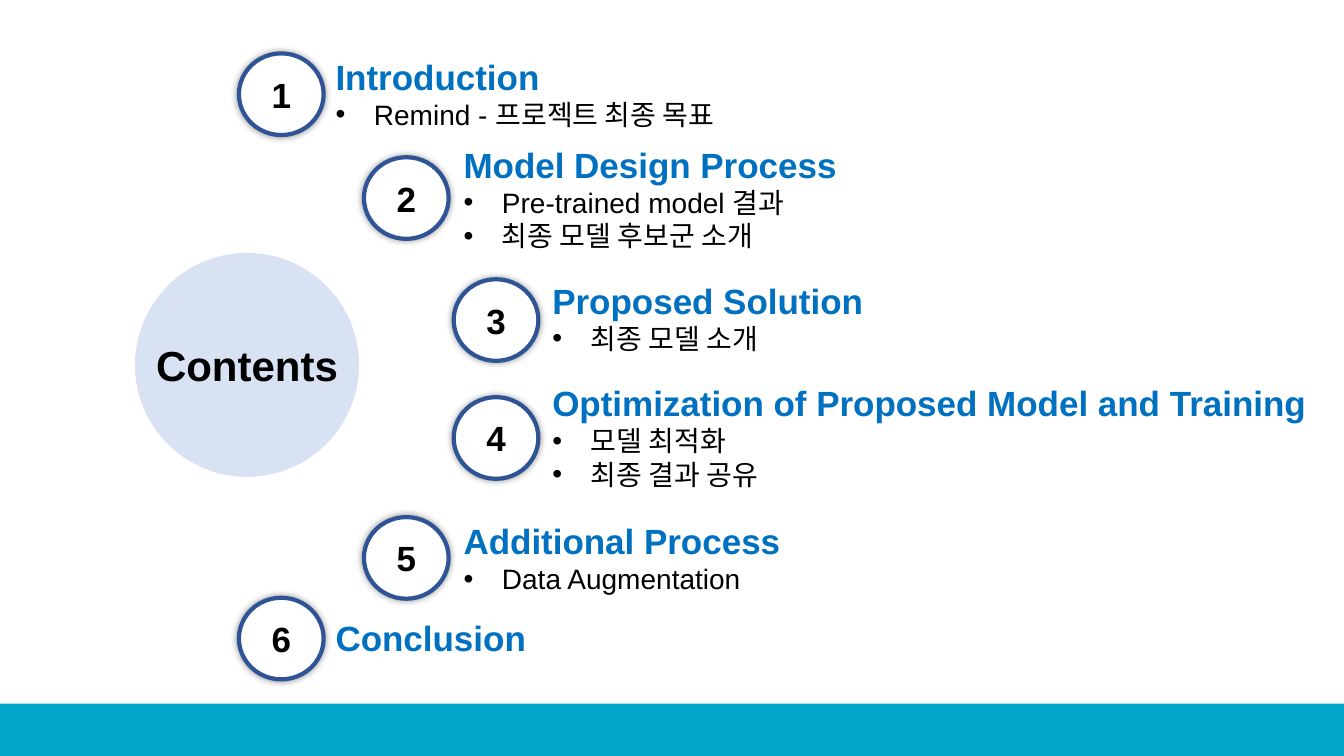
from lxml import etree
from pptx import Presentation
from pptx.dml.color import RGBColor
from pptx.enum.shapes import MSO_SHAPE
from pptx.enum.text import MSO_ANCHOR, PP_ALIGN
from pptx.oxml import parse_xml
from pptx.oxml.ns import nsdecls, qn
from pptx.util import Inches, Pt

BLACK = RGBColor(0x00, 0x00, 0x00)
WHITE = RGBColor(0xFF, 0xFF, 0xFF)
HEADING_BLUE = RGBColor(0x00, 0x70, 0xC0)
RING_BLUE = RGBColor(0x2F, 0x54, 0x96)
PALE_BLUE = RGBColor(0xD8, 0xE2, 0xF3)
BAND_TEAL = RGBColor(0x01, 0xA7, 0xCB)

BADGE_WIDTH, BADGE_HEIGHT = 0.84, 0.81
BULLET_INDENT = Inches(0.38)
GLOW = (
    f'<a:effectLst {nsdecls("a")}><a:outerShdw blurRad="{Pt(5)}" dist="0" dir="0" '
    'algn="ctr" rotWithShape="0"><a:srgbClr val="000000"><a:alpha val="40000"/>'
    '</a:srgbClr></a:outerShdw></a:effectLst>'
)

# badge left, badge top, text left, text top, text width, text height, heading, points
SECTIONS = [
    (2.37, 0.53, 3.23, 0.50, 8.54, 0.86, "Introduction",
     ["Remind - 프로젝트 최종 목표"]),
    (3.61, 1.56, 4.50, 1.37, 6.86, 1.20, "Model Design Process",
     ["Pre-trained model 결과", "최종 모델 후보군 소개"]),
    (4.50, 2.77, 5.38, 2.72, 5.96, 0.86, "Proposed Solution",
     ["최종 모델 소개"]),
    (4.50, 3.94, 5.38, 3.74, 7.86, 1.20, "Optimization of Proposed Model and Training",
     ["모델 최적화", "최종 결과 공유"]),
    (3.61, 5.13, 4.50, 5.11, 6.86, 0.86, "Additional Process",
     ["Data Augmentation"]),
    (2.37, 5.93, 3.23, 6.07, 6.86, 0.52, "Conclusion", []),
]


def add_filled(preset, left, top, width, height, fill):
    shape = slide.shapes.add_shape(
        preset, Inches(left), Inches(top), Inches(width), Inches(height))
    shape.shadow.inherit = False
    shape.fill.solid()
    shape.fill.fore_color.rgb = fill
    shape.line.fill.background()
    return shape


def style_paragraph(paragraph, size, color, bold=True, align=PP_ALIGN.LEFT):
    paragraph.alignment = align
    for run in paragraph.runs:
        run.font.name = "Arial"
        run.font.size = Pt(size)
        run.font.bold = bold
        run.font.color.rgb = color


prs = Presentation()
prs.slide_width, prs.slide_height = Inches(13.33), Inches(7.5)
slide = prs.slides.add_slide(prs.slide_layouts[5])

add_filled(MSO_SHAPE.RECTANGLE, 0, 6.98, 13.33, 0.52, BAND_TEAL)
contents_disc = add_filled(MSO_SHAPE.OVAL, 1.36, 2.53, 2.18, 2.18, PALE_BLUE)
contents_disc.line.color.rgb = PALE_BLUE
contents_disc.line.width = Pt(3)

contents = slide.shapes.title
contents.left, contents.top = Inches(1.19), Inches(3.32)
contents.width, contents.height = Inches(2.52), Inches(0.61)
contents.text_frame.text = "Contents"
contents.text_frame.vertical_anchor = MSO_ANCHOR.TOP
style_paragraph(contents.text_frame.paragraphs[0], 30, BLACK, align=PP_ALIGN.CENTER)
# The title placeholder starts at the back, so bring it in front of the disc.
contents_disc._element.addnext(contents._element)

for number, section in enumerate(SECTIONS, start=1):
    badge_left, badge_top, left, top, width, height, heading, points = section

    badge = add_filled(
        MSO_SHAPE.OVAL, badge_left, badge_top, BADGE_WIDTH, BADGE_HEIGHT, WHITE)
    badge.line.color.rgb = RING_BLUE
    badge.line.width = Pt(3)
    badge_properties = badge._element.spPr
    badge_properties.replace(badge_properties.find(qn("a:effectLst")), parse_xml(GLOW))
    badge.text_frame.text = str(number)
    badge.text_frame.vertical_anchor = MSO_ANCHOR.MIDDLE
    style_paragraph(badge.text_frame.paragraphs[0], 25, BLACK, align=PP_ALIGN.CENTER)

    entry = slide.shapes.add_textbox(
        Inches(left), Inches(top), Inches(width), Inches(height)).text_frame
    entry.word_wrap = True
    entry.text = heading
    style_paragraph(entry.paragraphs[0], 25, HEADING_BLUE)
    for point in points:
        bullet = entry.add_paragraph()
        bullet.text = point
        style_paragraph(bullet, 20, BLACK, bold=False)
        properties = bullet._p.get_or_add_pPr()
        properties.set("marL", str(BULLET_INDENT))
        properties.set("indent", str(-BULLET_INDENT))
        bullet_color = etree.SubElement(properties, qn("a:buClr"))
        etree.SubElement(bullet_color, qn("a:srgbClr"), val=str(BLACK))
        etree.SubElement(properties, qn("a:buFont"), typeface="Arial")
        etree.SubElement(properties, qn("a:buChar"), char="•")

prs.save("out.pptx")
